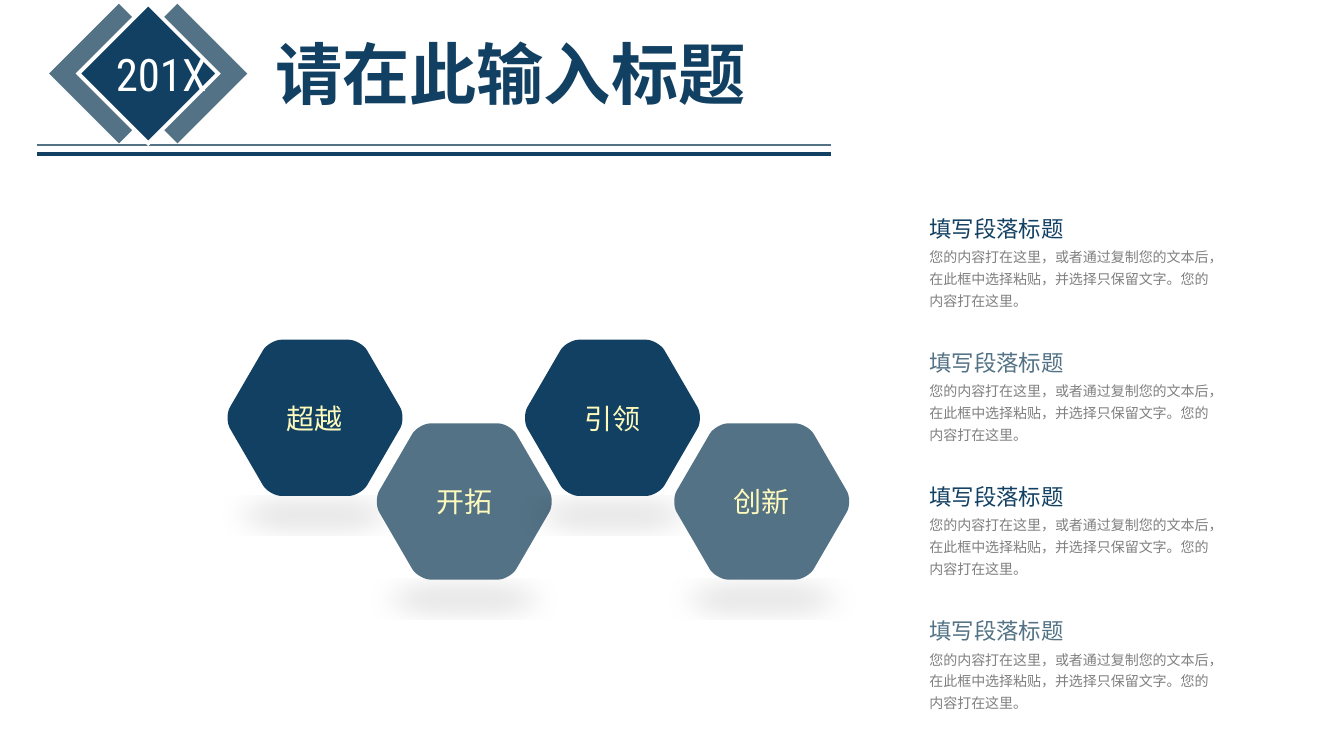
import pptx
import pptx.util
import pptx.dml.color
import pptx.enum.shapes
import pptx.enum.text
import pptx.oxml
import pptx.oxml.ns

PX = 9144
NAVY, SLATE, CREAM, GRAY, WHITE = "124062", "537285", "FEFABC", "808080", "FFFFFF"
ROBOTO = "Roboto Condensed"
SPACE = pptx.oxml.ns.nsdecls("a")
HEX = [(42, 0), (-3, 77.5), (42, 155), (133, 155), (178, 77.5), (133, 0)]
TRIM = 12
BODY = "您的内容打在这里，或者通过复制您的文本后，在此框中选择粘贴，并选择只保留文字。您的内容打在这里。"


def px(*nums):
    """Turn px lengths into EMU."""
    return [pptx.util.Emu(round(n * PX)) for n in nums]


def paint(item, color):
    """Give a fill or font a solid hex colour."""
    if hasattr(item, "solid"):
        item.solid()
        item.fore_color.rgb = pptx.dml.color.RGBColor.from_string(color)
    else:
        item.color.rgb = pptx.dml.color.RGBColor.from_string(color)


def write(frame, words, size, color, face=ROBOTO):
    """Write one styled paragraph and return it."""
    para = frame.paragraphs[0]
    para.text = words
    para.font.size = pptx.util.Pt(size)
    para.font.name = face
    paint(para.font, color)
    return para


def label(slide, box, words, size, color, face=ROBOTO, wrap=False, pad=5):
    """Add a text box that grows with its text and return its paragraph."""
    frame = slide.shapes.add_textbox(*px(*box)).text_frame
    frame.word_wrap = wrap
    frame.auto_size = pptx.enum.text.MSO_AUTO_SIZE.SHAPE_TO_FIT_TEXT
    frame.margin_top, frame.margin_bottom = px(pad, pad)
    return write(frame, words, size, color, face)


def rule(slide, top, color, width):
    """Draw a horizontal rule below the title."""
    kind = pptx.enum.shapes.MSO_CONNECTOR.STRAIGHT
    line = slide.shapes.add_connector(kind, *px(824, top, 37, top))
    paint(line.line.fill, color)
    line.line.width = pptx.util.Pt(width)
    line._element.spPr.append(pptx.oxml.parse_xml(f'<a:effectLst {SPACE}/>'))


def diamond(slide, left, color, edge=None):
    """Draw one square turned by 45 degrees."""
    kind = pptx.enum.shapes.MSO_SHAPE.ROUNDED_RECTANGLE
    shape = slide.shapes.add_shape(kind, *px(left, 24, 98, 98))
    shape.adjustments[0] = 0
    shape.rotation = 45
    shape.shadow.inherit = False
    paint(shape.fill, color)
    if edge:
        paint(shape.line.fill, edge)
        shape.line.width = pptx.util.Pt(2.75)
        line = shape._element.spPr.find(pptx.oxml.ns.qn("a:ln"))
        line.append(pptx.oxml.parse_xml(f'<a:miter {SPACE} lim="800000"/>'))
    else:
        shape.line.fill.background()


def toward(start, end):
    """Return the point TRIM px from start on the way to end."""
    dx, dy = end[0] - start[0], end[1] - start[1]
    part = TRIM / (dx * dx + dy * dy) ** 0.5
    return start[0] + dx * part, start[1] + dy * part


def middle(one, two):
    """Return the point halfway between two points."""
    return (one[0] + two[0]) / 2, (one[1] + two[1]) / 2


def outline():
    """List start, two controls and end of each rounded corner."""
    points = []
    for i, tip in enumerate(HEX):
        first = toward(tip, HEX[i - 1])
        last = toward(tip, HEX[(i + 1) % len(HEX)])
        points += [first, middle(first, tip), middle(tip, last), last]
    return points


def bend(shape):
    """Turn the three steps of each corner into one curve."""
    steps = list(shape._element.iter(pptx.oxml.ns.qn("a:lnTo")))
    for i in range(0, len(HEX) * 4, 4):
        curve = pptx.oxml.parse_xml(f'<a:cubicBezTo {SPACE}/>')
        steps[i].addprevious(curve)
        for step in steps[i:i + 3]:
            curve.append(step[0])
            step.getparent().remove(step)


def cast(shape):
    """Add a soft, flattened shadow below a shape."""
    shape.shadow.inherit = False
    effects = shape._element.spPr.find(pptx.oxml.ns.qn("a:effectLst"))
    effects.append(pptx.oxml.parse_xml(
        f'<a:outerShdw {SPACE} blurRad="241300" dist="38100" '
        'dir="5400000" sx="90000" sy="-19000" rotWithShape="0">'
        '<a:srgbClr val="000000"><a:alpha val="10000"/></a:srgbClr></a:outerShdw>'))


def hexagon(slide, left, top, words, color):
    """Draw one labelled hexagon."""
    points = [px(left + x, top + y) for x, y in outline()]
    form = slide.shapes.build_freeform(*points[0])
    form.add_line_segments(points[1:], close=True)
    shape = form.convert_to_shape()
    bend(shape)
    paint(shape.fill, color)
    shape.line.fill.background()
    cast(shape)
    shape.text_frame.vertical_anchor = pptx.enum.text.MSO_ANCHOR.MIDDLE
    para = write(shape.text_frame, words, 20, CREAM)
    para.alignment = pptx.enum.text.PP_ALIGN.CENTER


def note(slide, top, color):
    """Add a heading with its body text."""
    body = label(slide, (912, top + 37, 307, 76), BODY, 10, GRAY, wrap=True)
    body.line_spacing = 1.3
    head = label(slide, (912, top, 155, 40), "填写段落标题", 16, color, pad=0)
    head.line_spacing = 1.5


def main():
    """Build the slide and save it."""
    deck = pptx.Presentation()
    deck.slide_width, deck.slide_height = px(1333, 750)
    slide = deck.slides.add_slide(deck.slide_layouts[6])
    rule(slide, 144, SLATE, 1)
    diamond(slide, 127, SLATE)
    diamond(slide, 69, SLATE)
    diamond(slide, 98, NAVY, WHITE)
    rule(slide, 153, NAVY, 3)
    title = label(slide, (263, 27, 494, 91), "请在此输入标题", 48, NAVY, "Montserrat")
    title.font.bold = True
    tones = (NAVY, SLATE)
    for i, words in enumerate(("超越", "开拓", "引领", "创新")):
        left = 225 + round(443 * i / 3)
        hexagon(slide, left, 337 + 83 * (i % 2), words, tones[i % 2])
    for i in range(4):
        note(slide, 200 + 133 * i, tones[i % 2])
    label(slide, (105, 41, 116, 64), "201X", 32, WHITE)
    deck.save("out.pptx")


if __name__ == "__main__":
    main()
